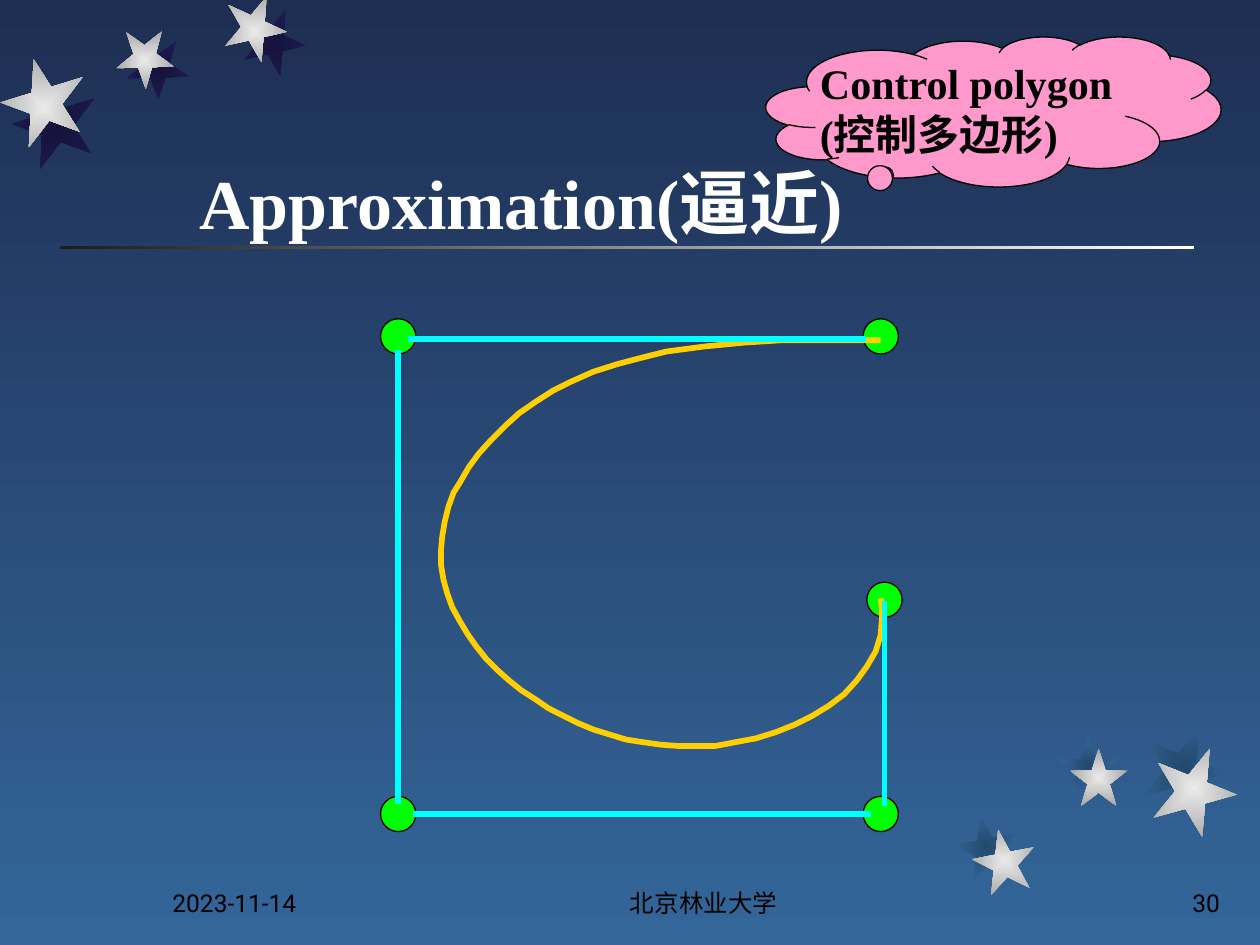
from pptx import Presentation
from pptx.dml.color import RGBColor
from pptx.enum.shapes import MSO_CONNECTOR, MSO_SHAPE
from pptx.enum.text import MSO_ANCHOR, PP_ALIGN
from pptx.oxml import parse_xml
from pptx.oxml.ns import nsdecls
from pptx.util import Inches, Pt

COLS, ROWS = 1000, 750
CELL = Inches(10) // COLS

GLOW = (f'<a:path {nsdecls("a")} path="shape"><a:fillToRect l="50000" t="50000" '
        'r="50000" b="50000"/></a:path>')
SILVER, NIGHT, SEA = ("EAEAEA", "A7A7A7"), ("15133B", "1E1A53"), ("24496D", "336699")
STARS = [
    (192, 11, 50, 50, 167.3, NIGHT), (100, 33, 50, 46, 178.3, NIGHT),
    (10, 69, 67, 67, 200.3, NIGHT), (177, 0, 50, 50, 167.3, SILVER),
    (92, 25, 46, 46, 178.3, SILVER), (1, 52, 67, 67, 200.3, SILVER),
    (647 + 111, 647, 50, 50, 349, SEA), (841, 585, 46, 46, 0, SEA),
    (906, 575, 67, 67, 22, SEA), (772, 658, 50, 50, 349, SILVER),
    (849, 594, 46, 46, 0, SILVER), (914, 592, 67, 67, 22, SILVER),
]
NODES = [(685, 253), (302, 253), (302, 632), (685, 632), (688, 462)]
EDGES = [(324, 269, 687, 269), (328, 646, 691, 646),
         (316, 278, 316, 638), (702, 477, 702, 640)]
CURVE = [
    (699, 270), (661, 270), (621, 270), (590, 272), (559, 275), (529, 279),
    (509, 284), (490, 289), (471, 295), (453, 303), (439, 310), (425, 319),
    (412, 328), (401, 338), (390, 349), (380, 360), (372, 371), (365, 383),
    (360, 391), (356, 402), (353, 414), (351, 426), (350, 437), (350, 448),
    (352, 460), (355, 471), (359, 482), (365, 493), (371, 503), (378, 513),
    (386, 523), (395, 532), (404, 540), (414, 548), (425, 555), (435, 562),
    (447, 568), (459, 574), (471, 579), (484, 583), (497, 587), (510, 589),
    (524, 591), (538, 592), (552, 592), (568, 592), (584, 589), (600, 586),
    (616, 581), (631, 575), (645, 568), (658, 560), (670, 551), (680, 540),
    (688, 529), (695, 517), (699, 504), (700, 490), (700, 483), (699, 475),
]
FOOT = [("2023-11-14", 127, 208, PP_ALIGN.LEFT),
        ("北京林业大学", 400, 317, PP_ALIGN.CENTER),
        ("30", 770, 208, PP_ALIGN.RIGHT)]


def rgb(code):
    """Turn a hex string into a colour."""
    return RGBColor.from_string(code)


def grid(*cells):
    """Turn grid counts into lengths."""
    return [cell * CELL for cell in cells]


def put(item, **vals):
    """Set each named value on an item."""
    for name, val in vals.items():
        setattr(item, name, val)


def blend(fill, pair, angle=0):
    """Fill with a straight two-colour gradient."""
    fill.gradient()
    fill.gradient_angle = angle
    for stop, code, place in zip(fill.gradient_stops, pair, (0, 1)):
        put(stop, position=place)
        stop.color.rgb = rgb(code)


def ink(line, code, width):
    """Colour a line and set its width."""
    line.color.rgb = rgb(code)
    line.width = Pt(width)


def shape(slide, kind, box, code=None):
    """Add a preset shape, outlined in black if it has a plain fill."""
    item = slide.shapes.add_shape(kind, *grid(*box))
    item.shadow.inherit = False
    if code:
        item.fill.solid()
        item.fill.fore_color.rgb = rgb(code)
        ink(item.line, "000000", 0.75)
    else:
        item.line.fill.background()
    return item


def star(slide, left, top, width, height, turn, pair):
    """Add a turned star that shades from its centre."""
    item = shape(slide, MSO_SHAPE.STAR_5_POINT, (left, top, width, height))
    item.rotation = turn
    blend(item.fill, pair)
    lin = item.fill._xPr.find(".//" + "{http://schemas.openxmlformats.org/drawingml/2006/main}lin")
    lin.getparent().replace(lin, parse_xml(GLOW))


def edge(slide, ends):
    """Add one side of the control polygon."""
    item = slide.shapes.add_connector(MSO_CONNECTOR.STRAIGHT, *grid(*ends))
    ink(item.line, "00FFFF", 3.25)
    item._element.spPr.append(parse_xml(f'<a:effectLst {nsdecls("a")}/>'))


def curve(slide, dots):
    """Add the open curve through the given dots."""
    pen = slide.shapes.build_freeform(*dots[0], scale=CELL)
    pen.add_line_segments(dots[1:], close=False)
    item = pen.convert_to_shape()
    item.shadow.inherit = False
    item.fill.background()
    ink(item.line, "FFCF01", 3.25)


def write(item, text, code, align=PP_ALIGN.LEFT, anchor=MSO_ANCHOR.BOTTOM, **font):
    """Write one formatted paragraph into a shape."""
    frame = item.text_frame
    put(frame, text=text, word_wrap=True, vertical_anchor=anchor)
    para = frame.paragraphs[0]
    para.alignment = align
    put(para.runs[0].font, **font)
    para.runs[0].font.color.rgb = rgb(code)


def main():
    """Build and save the slide."""
    deck = Presentation()
    put(deck, slide_width=COLS * CELL, slide_height=ROWS * CELL)
    slide = deck.slides.add_slide(deck.slide_layouts[5])
    blend(slide.background.fill, ("1E2E53", "336699"), 270)

    rule = shape(slide, MSO_SHAPE.RECTANGLE, (48, 195, 900, 3))
    blend(rule.fill, ("1C1C1C", "FFFFFF"))
    for spec_row in STARS:
        star(slide, *spec_row)

    for text, left, width, align in FOOT:
        box = slide.shapes.add_textbox(*grid(left, 683, width, 50))
        write(box, text, "000000", align, name="Roboto", size=Pt(14))

    serif = {"name": "Times New Roman", "bold": True}
    title = slide.shapes.title
    left, top, width, height = grid(148, 38, 750, 160)
    put(title, left=left, top=top, width=width, height=height)
    write(title, "Approximation(逼近)", "FFFFFF", size=Pt(40), **serif)

    for left, top in NODES:
        shape(slide, MSO_SHAPE.OVAL, (left, top, 28, 28), "00FF00")
    curve(slide, CURVE)
    for ends in EDGES:
        edge(slide, ends)

    cloud = shape(slide, MSO_SHAPE.CLOUD_CALLOUT, (608, 29, 361, 119), "FF99CC")
    cloud.adjustments[0], cloud.adjustments[1] = -0.243, 0.433
    note = slide.shapes.add_textbox(*grid(641, 41, 304, 90))
    write(note, "Control polygon (控制多边形)", "000000", anchor=MSO_ANCHOR.TOP,
          size=Pt(24), **serif)
    deck.save("out.pptx")


if __name__ == "__main__":
    main()
